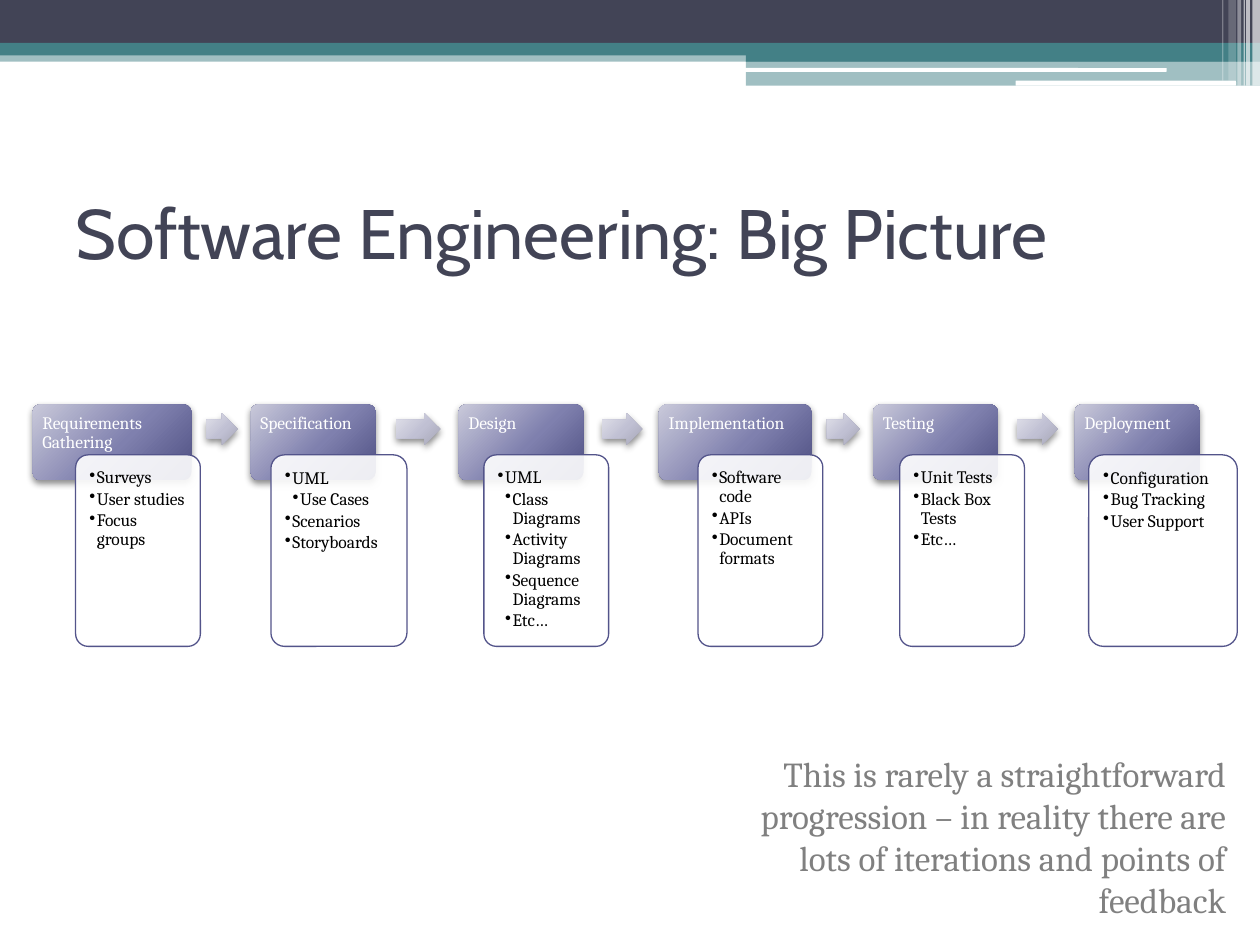
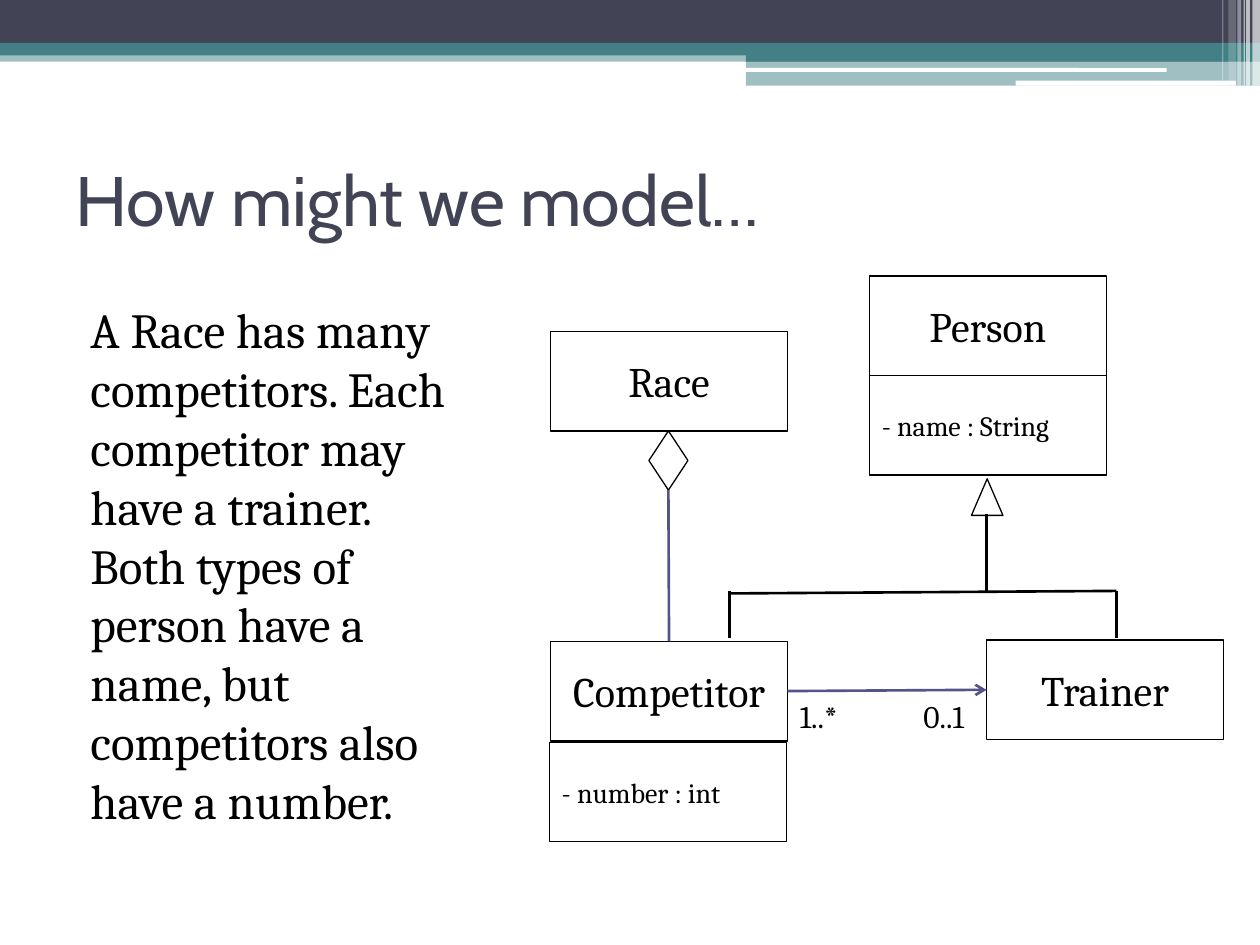
from lxml import etree
from pptx import Presentation
from pptx.dml.color import RGBColor
from pptx.enum.shapes import MSO_CONNECTOR, MSO_SHAPE
from pptx.enum.text import MSO_ANCHOR, PP_ALIGN
from pptx.oxml import parse_xml
from pptx.oxml.ns import nsdecls, qn
from pptx.util import Inches, Pt

RECT, ROUND = MSO_SHAPE.RECTANGLE, MSO_SHAPE.ROUNDED_RECTANGLE
ARROW, DIAMOND, TRIANGLE = MSO_SHAPE.RIGHT_ARROW, MSO_SHAPE.DIAMOND, MSO_SHAPE.ISOSCELES_TRIANGLE
STRAIGHT = MSO_CONNECTOR.STRAIGHT
LEFT, CENTER, RIGHT = PP_ALIGN.LEFT, PP_ALIGN.CENTER, PP_ALIGN.RIGHT
TOP, MIDDLE = MSO_ANCHOR.TOP, MSO_ANCHOR.MIDDLE

NAVY, TEAL, PURPLE = "424456", "438086", "53548A"
WHITE, BLACK, GRAY = "FFFFFF", "000000", "808080"
STAGE_GRADIENT = ["C9C9DA", "7F80AE", "4D4E81"]
ARROW_GRADIENT = ["E1E1EA", "C0C0D3", "A7A7B7"]
HEADING_FONT, BODY_FONT = "Cabin", "Cambria"
rgb = RGBColor.from_string


def draw(slide, kind, box, fill=None, opacity=100, line=None):
    """Add a shape; a list of three colours gives a shadowed gradient."""
    shape = slide.shapes.add_shape(kind, *map(Inches, box))
    shape.shadow.inherit = False
    properties = shape._element.spPr
    if isinstance(fill, list):
        stops = "".join(f'<a:gs pos="{position}"><a:srgbClr val="{color}"/></a:gs>'
                        for position, color in zip((0, 55000, 100000), fill))
        shape.fill.background()
        properties.replace(properties.find(qn("a:noFill")), parse_xml(
            f'<a:gradFill {nsdecls("a")}><a:gsLst>{stops}</a:gsLst><a:path path="circle">'
            '<a:fillToRect l="-40000" t="-90000" r="140000" b="190000"/></a:path></a:gradFill>'))
        properties.find(qn("a:effectLst")).append(parse_xml(
            f'<a:outerShdw {nsdecls("a")} blurRad="{Pt(4)}" dist="{Pt(2)}" dir="5400000">'
            f'<a:srgbClr val="{BLACK}"><a:alpha val="45000"/></a:srgbClr></a:outerShdw>'))
    elif fill:
        shape.fill.solid()
        shape.fill.fore_color.rgb = rgb(fill)
        if opacity < 100:
            color = properties.find(qn("a:solidFill")).find(qn("a:srgbClr"))
            etree.SubElement(color, qn("a:alpha"), val=str(opacity * 1000))
    else:
        shape.fill.background()
    if line:
        shape.line.color.rgb = rgb(line)
        shape.line.width = Pt(0.75)
    else:
        shape.line.fill.background()
    return shape


def write(shape, text, size, color=BLACK, align=LEFT, anchor=TOP, font=BODY_FONT, wrap=True):
    """Fill a shape with text, one paragraph a line."""
    frame = shape.text_frame
    frame.text = text
    frame.word_wrap = wrap
    frame.vertical_anchor = anchor
    for paragraph in frame.paragraphs:
        paragraph.alignment = align
        for run in paragraph.runs:
            run.font.name = font
            run.font.size = Pt(size)
            run.font.color.rgb = rgb(color)
    return frame


presentation = Presentation()
presentation.slide_width, presentation.slide_height = Inches(10), Inches(7.5)

# Shared bands and titles
BANDS = [
    (RECT, (0, 0.4, 10, 0.09), TEAL, 50),
    (RECT, (0, 0, 10, 0.34), NAVY, 100),
    (RECT, (0, 0.34, 10, 0.1), TEAL, 100),
    (RECT, (5.92, 0.39, 4.08, 0.1), TEAL, 100),
    (RECT, (5.92, 0.48, 4.08, 0.2), TEAL, 50),
    (ROUND, (5.91, 0.54, 3.35, 0.03), WHITE, 100),
    (ROUND, (8.06, 0.64, 1.75, 0.04), WHITE, 100),
    (RECT, (9.94, 0, 0.06, 0.68), WHITE, 65),
    (RECT, (9.89, 0, 0.03, 0.68), WHITE, 65),
    (RECT, (9.87, 0, 0.01, 0.68), WHITE, 60),
    (RECT, (9.82, 0, 0.03, 0.68), WHITE, 40),
    (RECT, (9.75, 0, 0.06, 0.64), WHITE, 20),
    (RECT, (9.7, 0, 0.01, 0.64), WHITE, 30),
]
TITLES = [("Software Engineering: Big Picture", 1.25), ("How might we model…", 0.99)]
slides = []
for title, top in TITLES:
    slide = presentation.slides.add_slide(presentation.slide_layouts[6])
    for kind, box, color, opacity in BANDS:
        draw(slide, kind, box, color, opacity)
    title_box = slide.shapes.add_textbox(Inches(0.5), Inches(top), Inches(9), Inches(1.17))
    write(title_box, title, 40, NAVY, anchor=MIDDLE, font=HEADING_FONT)
    slides.append(slide)
process_slide, model_slide = slides

# Process stages: name, header left and width, card left and width, (level, item)
STAGES = [
    ("Requirements Gathering", 0.26, 1.26, 0.6, 0.99,
     [(1, "Surveys"), (1, "User studies"), (1, "Focus groups")]),
    ("Specification", 1.99, 0.99, 2.15, 1.08,
     [(1, "UML"), (2, "Use Cases"), (1, "Scenarios"), (1, "Storyboards")]),
    ("Design", 3.64, 0.99, 3.84, 0.99,
     [(1, "UML"), (2, "Class Diagrams"), (2, "Activity Diagrams"),
      (2, "Sequence Diagrams"), (2, "Etc…")]),
    ("Implementation", 5.23, 1.21, 5.54, 0.99,
     [(1, "Software code"), (1, "APIs"), (1, "Document formats")]),
    ("Testing", 6.93, 0.99, 7.14, 0.99,
     [(1, "Unit Tests"), (1, "Black Box Tests"), (1, "Etc…")]),
    ("Deployment", 8.53, 0.99, 8.64, 1.18,
     [(1, "Configuration"), (1, "Bug Tracking"), (1, "User Support")]),
]
previous_right = None
for name, left, width, card_left, card_width, items in STAGES:
    # Arrow in the gap before this stage
    if previous_right is not None:
        gap = left - previous_right
        arrow = draw(process_slide, ARROW,
                     (previous_right + gap / 4, 3.28, gap * 0.53, 0.25), ARROW_GRADIENT)
        arrow.adjustments[0] = 0.6
    previous_right = left + width

    header = draw(process_slide, ROUND, (left, 3.21, width, 0.6), STAGE_GRADIENT)
    card = draw(process_slide, ROUND, (card_left, 3.61, card_width, 1.52), WHITE, 90, PURPLE)
    item_text = "\n".join(item for level, item in items)
    for shape, text, color, margin in ((header, name, WHITE, 0.06), (card, item_text, BLACK, 0.08)):
        shape.adjustments[0] = 0.1
        frame = write(shape, text, 10, color)
        frame.margin_left = frame.margin_right = Inches(margin)
        frame.margin_top = frame.margin_bottom = Inches(margin)
        for paragraph in frame.paragraphs:
            paragraph.line_spacing = 0.9
            paragraph.space_after = Pt(1.5)

    # Bullets
    for paragraph, (level, item) in zip(card.text_frame.paragraphs, items):
        paragraph.level = level
        paragraph_properties = paragraph._p.get_or_add_pPr()
        paragraph_properties.set("marL", str(Inches(0.06 * level)))
        paragraph_properties.set("indent", str(Inches(-0.06)))
        etree.SubElement(paragraph_properties, qn("a:buChar"), char="•")

# Closing remark
remark = process_slide.shapes.add_textbox(Inches(5.63), Inches(5.92), Inches(4.2), Inches(1.45))
write(remark, "This is rarely a straightforward progression – in reality there are "
      "lots of iterations and points of feedback", 20, GRAY, RIGHT)

# Model description
description = model_slide.shapes.add_textbox(Inches(0.5), Inches(2.33), Inches(3.16), Inches(4.73))
frame = write(description, "A Race has many competitors. Each competitor may have a trainer. "
              "Both types of person have a name, but competitors also have a number.", 28)
frame.paragraphs[0].space_before = Pt(3)
frame.paragraphs[0]._p.get_or_add_pPr().set("marL", str(Inches(0.12)))

# Class boxes
CLASS_BOXES = [
    ("- name : String", 6.9, 2.98, 16, LEFT),
    ("Person", 6.9, 2.19, 24, CENTER),
    ("Trainer", 7.83, 5.08, 24, CENTER),
    ("Competitor", 4.37, 5.09, 24, CENTER),
    ("Race", 4.37, 2.63, 24, CENTER),
    ("- number : int", 4.36, 5.89, 16, LEFT),
]
class_boxes = {}
for text, left, top, size, align in CLASS_BOXES:
    class_boxes[text] = draw(model_slide, RECT, (left, top, 1.88, 0.79), line=BLACK)
    write(class_boxes[text], text, size, align=align, anchor=MIDDLE)

# Inheritance triangle and aggregation diamond
draw(model_slide, TRIANGLE, (7.71, 3.8, 0.25, 0.29), line=BLACK)
diamond = draw(model_slide, DIAMOND, (5.15, 3.42, 0.31, 0.47), WHITE, line=BLACK)

# Relationships: from, to, colour
LINES = [
    ((5.79, 4.71), (8.86, 4.69), BLACK),
    ((8.86, 4.69), (8.86, 5.06), BLACK),
    ((7.83, 4.08), (7.83, 4.69), BLACK),
    ((5.79, 4.69), (5.79, 5.06), BLACK),
    ((6.25, 5.48), (7.83, 5.47), PURPLE),
    ((5.31, 3.89), (5.31, 5.09), PURPLE),
]
connectors = []
for start, end, color in LINES:
    connector = model_slide.shapes.add_connector(STRAIGHT, *map(Inches, start + end))
    connector.line.color.rgb = rgb(color)
    connector.line.width = Pt(1.5)
    etree.SubElement(connector._element.spPr, qn("a:effectLst"))
    connectors.append(connector)
training, aggregation = connectors[-2:]
training.begin_connect(class_boxes["Competitor"], 3)
training.end_connect(class_boxes["Trainer"], 1)
etree.SubElement(training.line._get_or_add_ln(), qn("a:tailEnd"), type="arrow")
aggregation.begin_connect(diamond, 2)
aggregation.end_connect(class_boxes["Competitor"], 0)

# Multiplicities
for text, left, width in (("0..1", 7.23, 0.6), ("1..*", 6.25, 0.57)):
    label = model_slide.shapes.add_textbox(Inches(left), Inches(5.48), Inches(width), Inches(0.4))
    write(label, text, 18, wrap=False)

presentation.save("out.pptx")
